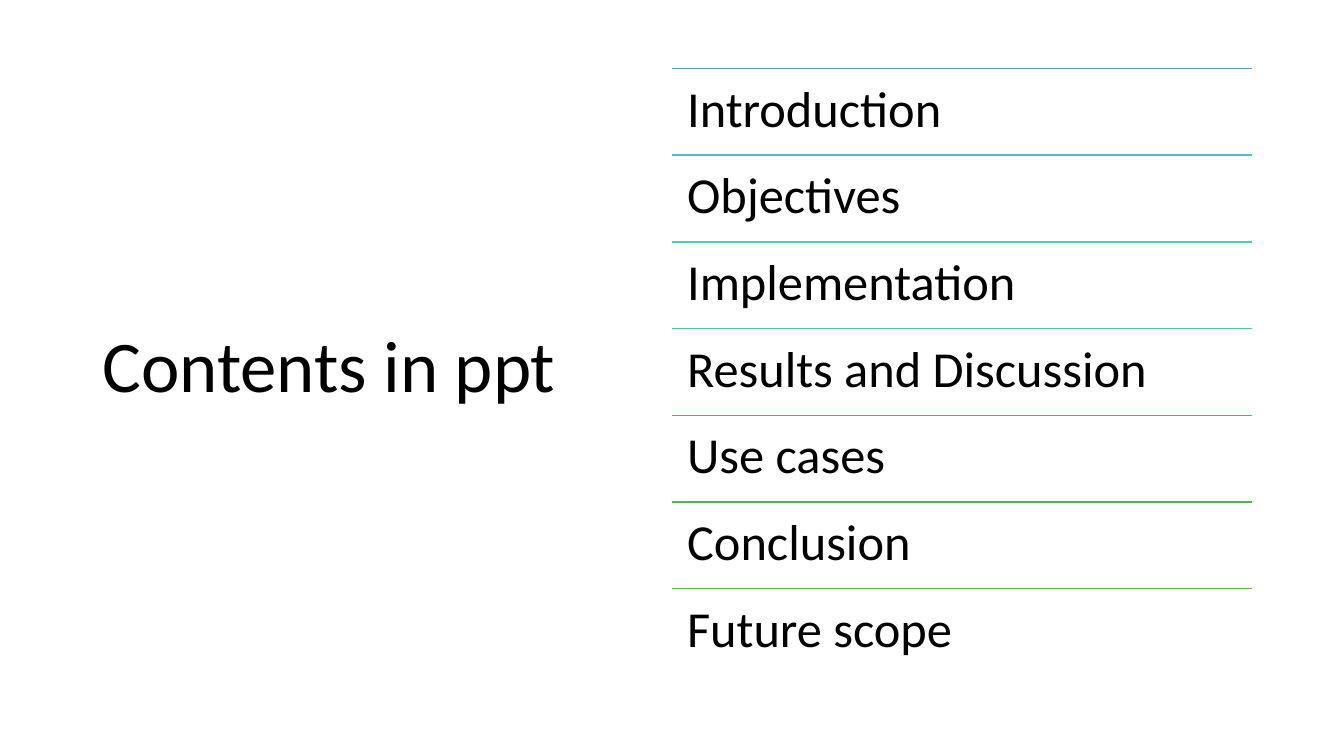
from pptx import Presentation
from pptx.dml.color import RGBColor as RGB
from pptx.enum.shapes import MSO_CONNECTOR as LINK
from pptx.enum.text import MSO_ANCHOR as ANCHOR
from pptx.oxml.xmlchemy import OxmlElement as Node
from pptx.util import Pt

FONT = "Calibri"
BLACK = RGB(0, 0, 0)
TOPICS = [
    ("Introduction", RGB(0x5B, 0x9B, 0xD5)),
    ("Objectives", RGB(0x56, 0xBC, 0xD0)),
    ("Implementation", RGB(0x52, 0xCA, 0xB8)),
    ("Results and Discussion", RGB(0x4D, 0xC5, 0x8D)),
    ("Use cases", RGB(0x49, 0xBF, 0x64)),
    ("Conclusion", RGB(0x50, 0xB8, 0x46)),
    ("Future scope", RGB(0x70, 0xAD, 0x47)),
]


def add_text(slide, box, words, size, anchor, pad):
    """Place one line of text in box; pad holds the side and end insets."""
    frame = slide.shapes.add_textbox(*map(Pt, box)).text_frame
    frame.word_wrap = True
    frame.vertical_anchor = anchor
    frame.margin_left = frame.margin_right = Pt(pad[0])
    frame.margin_top = frame.margin_bottom = Pt(pad[1])
    para = frame.paragraphs[0]
    para.line_spacing = 0.9
    run = para.add_run()
    run.text = words
    run.font.name = FONT
    run.font.size = Pt(size)
    run.font.color.rgb = BLACK


def add_rule(slide, left, top, width, color):
    rule = slide.shapes.add_connector(
        LINK.STRAIGHT, Pt(left), Pt(top), Pt(left + width), Pt(top))
    rule.line.color.rgb = color
    rule.line.width = Pt(1)
    rule._element.spPr.append(Node("a:effectLst"))


def add_title(slide, box):
    add_text(slide, box, "Contents in ppt", 52, ANCHOR.MIDDLE, (7.2, 3.6))


def add_topics(slide, box):
    """Split box into equal rows, each with a rule along its top."""
    left, top, width, height = box
    step = height / len(TOPICS)
    for row, (topic, color) in enumerate(TOPICS):
        y = top + row * step
        add_rule(slide, left, y, width, color)
        add_text(slide, (left, y, width, step), topic, 36,
                 ANCHOR.TOP, (10.8, 10.8))


def main():
    deck = Presentation()
    deck.slide_width, deck.slide_height = Pt(960), Pt(540)
    slide = deck.slides.add_slide(deck.slide_layouts[6])
    add_title(slide, (66, 44, 383, 438.5))
    add_topics(slide, (480, 48.9, 414, 433.5))
    deck.save("out.pptx")


if __name__ == "__main__":
    main()
